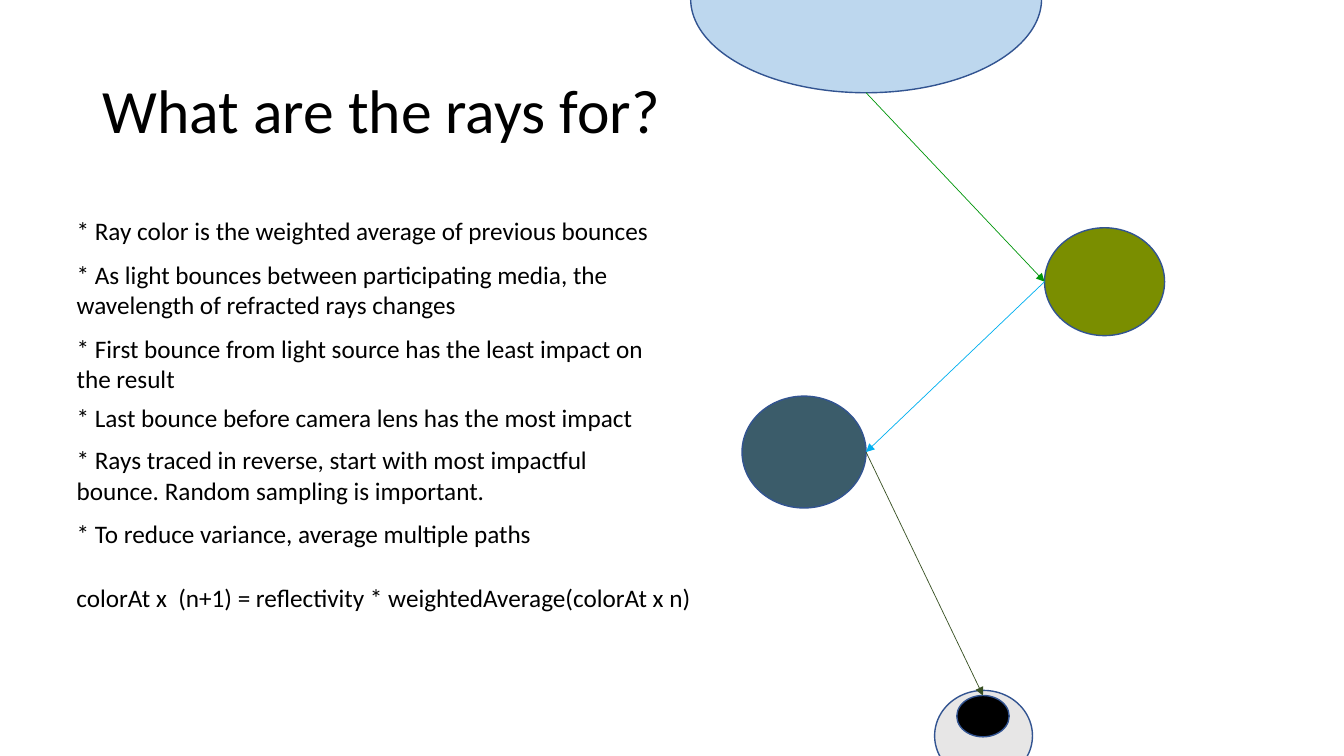
from dataclasses import dataclass

from lxml import etree
from pptx import Presentation
from pptx.dml.color import RGBColor
from pptx.enum.shapes import MSO_CONNECTOR, MSO_SHAPE
from pptx.enum.text import MSO_ANCHOR, MSO_AUTO_SIZE, PP_ALIGN
from pptx.oxml.ns import qn
from pptx.util import Inches, Pt

OVAL = MSO_SHAPE.OVAL
STRAIGHT = MSO_CONNECTOR.STRAIGHT
LEFT = PP_ALIGN.LEFT
TOP, MIDDLE = MSO_ANCHOR.TOP, MSO_ANCHOR.MIDDLE
NO_FIT = MSO_AUTO_SIZE.NONE


@dataclass(frozen=True)
class Theme:
    font: str = "Calibri"
    title_size: float = 44
    body_size: float = 18
    text: str = "000000"
    outline: str = "325491"
    outline_width: float = 1
    ray_width: float = 0.5
    light: str = "BDD7EE"
    camera: str = "E7E6E6"
    pupil: str = "000000"
    olive: str = "7A8E00"
    slate: str = "3B5C6A"
    first_ray: str = "00960B"
    second_ray: str = "00B0F0"
    last_ray: str = "385023"


THEME = Theme()

TITLE = "What are the rays for?"
POINTS = [
    ("* Ray color is the weighted average of previous bounces", 0),
    ("* As light bounces between participating media, the wavelength of refracted rays changes", 9.5),
    ("* First bounce from light source has the least impact on the result", 9.5),
    ("* Last bounce before camera lens has the most impact", 6),
    ("* Rays traced in reverse, start with most impactful bounce. Random sampling is important.", 9),
    ("* To reduce variance, average multiple paths", 9.5),
]
FORMULA = "colorAt x  (n+1) = reflectivity * weightedAverage(colorAt x n)"

# Boxes are left, top, width, height in percent of the slide.
TITLE_BOX = (6.9, 5.33, 86.27, 19.33)
POINTS_BOX = (4.95, 27.87, 44.64, 45.87)
FORMULA_BOX = (4.95, 76.4, 47.79, 5.33)
BODIES = {
    "light": (51.39, -12.53, 26.11, 24.8),
    "camera": (69.54, 91.33, 7.28, 12),
    "pupil": (71.19, 92, 3.9, 5.47),
    "olive": (77.72, 30.13, 8.93, 14.27),
    "slate": (55.21, 52.4, 9.23, 14.8),
}
SIDES = {"top": (0.5, 0), "bottom": (0.5, 1), "left": (0, 0.5), "right": (1, 0.5)}
RAYS = [
    ("first_ray", ("light", "bottom"), ("olive", "left")),
    ("second_ray", ("olive", "left"), ("slate", "right")),
    ("last_ray", ("slate", "right"), ("pupil", "top")),
]

prs = Presentation()
prs.slide_width, prs.slide_height = Inches(13.33), Inches(7.5)
slide = prs.slides.add_slide(prs.slide_layouts[1])
shapes = slide.shapes


def place(box):
    x, y, w, h = (v / 100 for v in box)
    return (int(x * prs.slide_width), int(y * prs.slide_height),
            int(w * prs.slide_width), int(h * prs.slide_height))


def move(sp, box):
    sp.left, sp.top, sp.width, sp.height = place(box)


def rgb(name):
    return RGBColor.from_string(getattr(THEME, name))


def write(p, text, size, before=0, spacing=1.0):
    p.alignment = LEFT
    p.line_spacing = spacing
    p.space_before = Pt(before)
    r = p.add_run()
    r.text = text
    r.font.name = THEME.font
    r.font.size = Pt(size)
    r.font.color.rgb = rgb("text")


def setup(tf, anchor, wrap=True):
    tf.word_wrap = wrap
    tf.auto_size = NO_FIT
    tf.vertical_anchor = anchor


def add_body(name):
    sp = shapes.add_shape(OVAL, *place(BODIES[name]))
    sp.shadow.inherit = False
    sp.fill.solid()
    sp.fill.fore_color.rgb = rgb(name)
    sp.line.color.rgb = rgb("outline")
    sp.line.width = Pt(THEME.outline_width)


def point_on(body, side):
    x, y, w, h = place(BODIES[body])
    fx, fy = SIDES[side]
    return int(x + w * fx), int(y + h * fy)


def add_ray(color, start, end):
    ray = shapes.add_connector(STRAIGHT, *point_on(*start), *point_on(*end))
    ray.line.color.rgb = rgb(color)
    ray.line.width = Pt(THEME.ray_width)
    ln = ray.line._get_or_add_ln()
    etree.SubElement(ln, qn("a:tailEnd"), type="triangle")
    etree.SubElement(ray._element.spPr, qn("a:effectLst"))


title = shapes.title
move(title, TITLE_BOX)
setup(title.text_frame, MIDDLE)
write(title.text_frame.paragraphs[0], TITLE, THEME.title_size, spacing=0.9)

for name in BODIES:
    add_body(name)
for ray in RAYS:
    add_ray(*ray)

points = slide.placeholders[1]
move(points, POINTS_BOX)
tf = points.text_frame
setup(tf, TOP)
for i, (text, before) in enumerate(POINTS):
    p = tf.add_paragraph() if i else tf.paragraphs[0]
    pPr = p._p.get_or_add_pPr()
    pPr.set("marL", "0")
    pPr.set("indent", "0")
    etree.SubElement(pPr, qn("a:buNone"))
    write(p, text, THEME.body_size, before)

formula = shapes.add_textbox(*place(FORMULA_BOX))
setup(formula.text_frame, TOP, wrap=False)
write(formula.text_frame.paragraphs[0], FORMULA, THEME.body_size)

prs.save("out.pptx")
